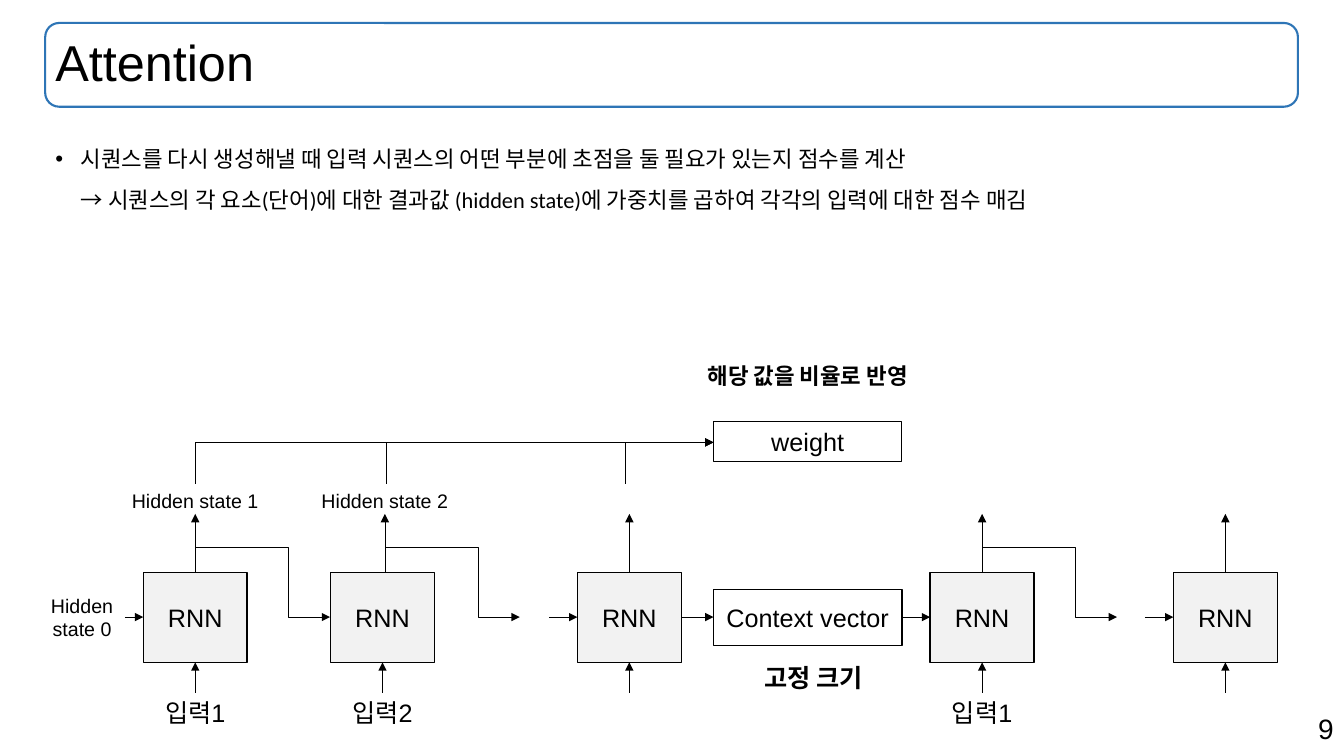
from lxml import etree
from pptx import Presentation
from pptx.dml.color import RGBColor
from pptx.enum.shapes import MSO_CONNECTOR, MSO_SHAPE
from pptx.enum.text import MSO_ANCHOR, MSO_AUTO_SIZE, PP_ALIGN
from pptx.oxml.ns import qn
from pptx.util import Cm, Pt

BLACK = RGBColor(0x00, 0x00, 0x00)
WHITE = RGBColor(0xFF, 0xFF, 0xFF)
GRAY = RGBColor(0xF2, 0xF2, 0xF2)
BLUE = RGBColor(0x2E, 0x75, 0xB6)
RECT, ROUNDED = MSO_SHAPE.RECTANGLE, MSO_SHAPE.ROUNDED_RECTANGLE
STRAIGHT, ELBOW = MSO_CONNECTOR.STRAIGHT, MSO_CONNECTOR.ELBOW
LEFT, CENTER, RIGHT = PP_ALIGN.LEFT, PP_ALIGN.CENTER, PP_ALIGN.RIGHT
TOP, MIDDLE = MSO_ANCHOR.TOP, MSO_ANCHOR.MIDDLE
NO_FIT = MSO_AUTO_SIZE.NONE

TITLE_BOX = (1.14, 0.58, 31.57, 2.11)
CELL_W, CELL_H, CELL_TOP = 2.62, 2.26, 14.43
CELL_BOTTOM = CELL_TOP + CELL_H
FLOW_Y, LABEL_Y, HIDDEN_Y, OUTPUT_Y = 15.55, 17.45, 12.19, 12.95
WEIGHT_X, WEIGHT_Y = 17.98, 11.15
LOOP_W = 3.4

# centre, output x, input label, hidden label, loops to the next cell
CELLS = [
    (4.92, 4.92, "입력1", "Hidden state 1", True),
    (9.64, 9.7, "입력2", "Hidden state 2", True),
    (15.86, 15.86, "", "", False),
    (24.75, 24.75, "입력1", "", True),
    (30.88, 30.88, "", "", False),
]
FLOWS = [(3.15, 3.61), (13.84, 14.55), (17.17, 17.98), (22.73, 23.44), (28.85, 29.57)]


def write(tf, text, size, align=CENTER, font="Arial", bold=None, anchor=TOP):
    """Fill the first paragraph, with a line break at each newline."""
    tf.word_wrap = True
    tf.auto_size = NO_FIT
    tf.vertical_anchor = anchor
    p = tf.paragraphs[0]
    p.alignment = align
    for i, line in enumerate(text.split("\n")):
        if i:
            p.add_line_break()
        r = p.add_run()
        r.text = line
        r.font.name, r.font.size, r.font.bold = font, Pt(size), bold
        r.font.color.rgb = BLACK
    return p


def place(sp, box):
    """Move a placeholder to a box in centimetres."""
    sp.left, sp.top, sp.width, sp.height = map(Cm, box)


def add_label(s, box, text, size, align=CENTER, bold=None):
    """Add a plain text box."""
    write(s.shapes.add_textbox(*map(Cm, box)).text_frame, text, size, align, bold=bold)


def add_box(s, box, text="", fill=None, line=BLACK, width=1, kind=RECT):
    """Add an outlined shape with optional centred text."""
    sp = s.shapes.add_shape(kind, *map(Cm, box))
    sp.shadow.inherit = False
    if fill is None:
        sp.fill.background()
    else:
        sp.fill.solid()
        sp.fill.fore_color.rgb = fill
    sp.line.color.rgb, sp.line.width = line, Pt(width)
    if text:
        write(sp.text_frame, text, 18, anchor=MIDDLE)


def add_arrow(s, x1, y1, x2, y2, kind=STRAIGHT):
    """Add a thin connector with an arrowhead at its end."""
    c = s.shapes.add_connector(kind, Cm(x1), Cm(y1), Cm(x2), Cm(y2))
    c.line.color.rgb, c.line.width = BLACK, Pt(0.5)
    etree.SubElement(c.line._get_or_add_ln(), qn("a:tailEnd"), type="triangle")
    etree.SubElement(c._element.spPr, qn("a:effectLst"))
    return c


def add_elbow(s, x1, y1, x2, y2, preset, turn, flips, adjusts=()):
    """Add a bent arrow that leaves its start upwards."""
    c = add_arrow(s, x1, y1, x2, y2, ELBOW)
    w, h = abs(y2 - y1), abs(x2 - x1)
    place(c, ((x1 + x2 - w) / 2, (y1 + y2 - h) / 2, w, h))
    xfrm = c._element.spPr.find(qn("a:xfrm"))
    for flip in ("flipH", "flipV"):
        xfrm.set(flip, "1" if flip in flips else "0")
    xfrm.set("rot", str(turn * 60000))
    geom = c._element.spPr.find(qn("a:prstGeom"))
    geom.set("prst", preset)
    guides = geom.find(qn("a:avLst"))
    for i, value in enumerate(adjusts, 1):
        etree.SubElement(guides, qn("a:gd"), name=f"adj{i}", fmla=f"val {value}")


def add_cell(s, x, out_x, input_text, hidden_text, loops):
    """Add one RNN cell with its labels and arrows."""
    add_box(s, (x - CELL_W / 2, CELL_TOP, CELL_W, CELL_H), "RNN", GRAY)
    add_arrow(s, x, LABEL_Y, x, CELL_BOTTOM)
    add_arrow(s, out_x, CELL_TOP, out_x, OUTPUT_Y)
    if input_text:
        add_label(s, (x - 2.36, LABEL_Y, 4.72, 1.02), input_text, 18)
    if hidden_text:
        add_label(s, (out_x - 2.02, HIDDEN_Y, 4.04, 0.86), hidden_text, 14)
    if loops:
        add_elbow(s, out_x, CELL_TOP, out_x + LOOP_W, FLOW_Y,
                  "bentConnector4", 270, ("flipH",), (-56400, 69200))


def add_heading(s):
    """Fill the title and the bulleted body."""
    add_box(s, TITLE_BOX, line=BLUE, width=1.5, kind=ROUNDED)
    title, body = s.shapes.title, s.placeholders[1]
    place(title, TITLE_BOX)
    write(title.text_frame, "Attention", 36, LEFT, anchor=MIDDLE).line_spacing = 0.9
    place(body, (1.14, 3.2, 31.57, 14.05))
    pPr = body.text_frame.paragraphs[0]._p.get_or_add_pPr()
    pPr.set("marL", str(Cm(0.64)))
    pPr.set("indent", str(-Cm(0.64)))
    etree.SubElement(pPr, qn("a:buFont"), typeface="Arial")
    etree.SubElement(pPr, qn("a:buChar"), char="•")
    p = write(body.text_frame,
              "시퀀스를 다시 생성해낼 때 입력 시퀀스의 어떤 부분에 초점을 둘 필요가 있는지 점수를 계산\n"
              "→ 시퀀스의 각 요소(단어)에 대한 결과값 (hidden state)에 가중치를 곱하여 "
              "각각의 입력에 대한 점수 매김", 16, LEFT, "Calibri")
    p.line_spacing, p.space_before = 1.5, Pt(0)


def main():
    """Build the attention slide."""
    prs = Presentation()
    prs.slide_width, prs.slide_height = Cm(33.87), Cm(19.05)
    s = prs.slides.add_slide(prs.slide_layouts[1])
    add_heading(s)
    add_label(s, (23.95, 17.81, 9.91, 1.12), "9", 20, RIGHT)
    for cell in CELLS:
        add_cell(s, *cell)
    for start, end in FLOWS:
        add_arrow(s, start, FLOW_Y, end, FLOW_Y)
    add_label(s, (0.99, 14.83, 2.16, 1.45), "Hidden\nstate 0", 14)
    add_box(s, (WEIGHT_X, 14.86, 4.75, 1.4), "Context vector", WHITE)
    add_label(s, (18.14, 16.56, 4.72, 1.02), "고정 크기", 18, bold=True)
    add_box(s, (WEIGHT_X, 10.62, 4.75, 1.02), "weight", width=0.75)
    for x in (4.92, 9.73, 15.75):
        add_elbow(s, x, HIDDEN_Y, WEIGHT_X, WEIGHT_Y,
                  "bentConnector2", 90, ("flipH", "flipV"))
    add_label(s, (15.62, 8.99, 9.47, 0.94), "해당 값을 비율로 반영", 16, bold=True)
    prs.save("out.pptx")


if __name__ == "__main__":
    main()
